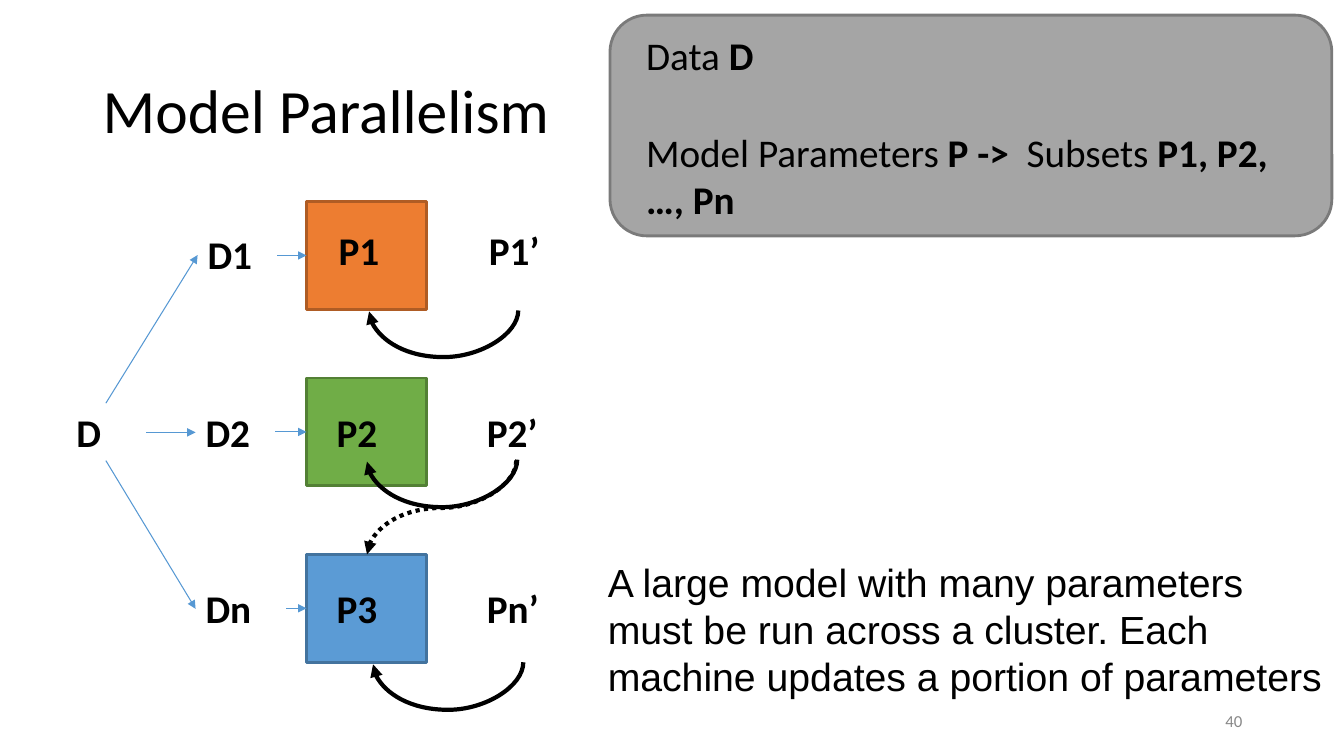
from pptx import Presentation
from pptx.dml.color import RGBColor
from pptx.enum.dml import MSO_LINE
from pptx.enum.shapes import MSO_CONNECTOR, MSO_SHAPE
from pptx.enum.text import MSO_ANCHOR, PP_ALIGN
from pptx.oxml.ns import qn
from pptx.util import Inches, Pt
from lxml import etree

STRAIGHT, CURVE = MSO_CONNECTOR.STRAIGHT, MSO_CONNECTOR.CURVE
RECT, ROUNDED = MSO_SHAPE.RECTANGLE, MSO_SHAPE.ROUNDED_RECTANGLE
TOP, MIDDLE = MSO_ANCHOR.TOP, MSO_ANCHOR.MIDDLE
LEFT, RIGHT = PP_ALIGN.LEFT, PP_ALIGN.RIGHT
DOTTED = MSO_LINE.ROUND_DOT
LEFT_SIDE = 1

BLACK, GREY, BLUE = "000000", "888888", "5698D3"
BODY = {"name": "Calibri", "size": Pt(28), "bold": False}
BOLD = {**BODY, "bold": True}
TITLE = {**BODY, "size": Pt(44)}
NUMBER = {**BODY, "size": Pt(12)}
NOTE = {**BODY, "name": "Arial"}

BOX_X, BOX_W, BOX_H = 3.04, 1.19, 1.07
ROW_TOP, ROW_STEP = 2, 1.75
LABEL_H, CURVE_DEPTH = 0.57, 0.47
# Each row: fill, line, label left shift, data label top, parameter label top,
# label width, texts and the start of the arrow into the box.
ROWS = [
    ("ED7D31", "AF5C24", 0.02, 0.24, 0.2, 0.78, ("D1", "P1", "P1’"), 2.75),
    ("70AD47", "538035", 0, 0.25, 0.25, 0.78, ("D2", "P2", "P2’"), 2.73),
    ("5B9BD5", "43739E", 0, 0.25, 0.25, 0.9, ("Dn", "P3", "Pn’"), 2.84),
]
FAN_OUT = [(1.05, 4, 1.96, 2.53), (1.45, 4.29, 1.94, 4.29), (1.05, 4.57, 1.94, 6.04)]
UPDATES = [(5.14, 3.08, 3.66, 3.09), (5.13, 4.56, 3.64, 4.58), (5.19, 6.57, 3.7, 6.59)]


def rgb(value):
    """Turn a hex string into a colour."""
    return RGBColor.from_string(value)


def add_box(s, kind, x, y, w, h, fill, line):
    """Add a filled and outlined shape."""
    sp = s.shapes.add_shape(kind, Inches(x), Inches(y), Inches(w), Inches(h))
    sp.shadow.inherit = False
    sp.fill.solid()
    sp.fill.fore_color.rgb = rgb(fill)
    sp.line.color.rgb = rgb(line)
    sp.line.width = Pt(2)
    return sp


def add_text(s, x, y, w, h, runs, color=BLACK, anchor=TOP, align=LEFT, spacing=1.0):
    """Add a text box holding one paragraph of (text, format) runs."""
    sp = s.shapes.add_textbox(Inches(x), Inches(y), Inches(w), Inches(h))
    tf = sp.text_frame
    tf.word_wrap = True
    tf.vertical_anchor = anchor
    p = tf.paragraphs[0]
    p.alignment, p.line_spacing = align, spacing
    for text, fmt in runs:
        r = p.add_run()
        r.text = text
        for name, value in fmt.items():
            setattr(r.font, name, value)
        r.font.color.rgb = rgb(color)


def add_arrow(s, kind, x1, y1, x2, y2, color, width):
    """Add a connector with an arrowhead at its end."""
    c = s.shapes.add_connector(kind, Inches(x1), Inches(y1), Inches(x2), Inches(y2))
    c.line.color.rgb = rgb(color)
    c.line.width = Pt(width)
    etree.SubElement(c.line._get_or_add_ln(), qn("a:tailEnd"), type="triangle")
    etree.SubElement(c._element.spPr, qn("a:effectLst"))
    return c


def add_curve(s, x1, y1, x2, y2):
    """Add a curve that leaves downwards and sweeps left to its end."""
    w, h = y2 - y1, x1 - x2
    cx, cy = (x1 + x2) / 2, (y1 + y2) / 2
    c = add_arrow(s, CURVE, cx - w / 2, cy - h / 2, cx + w / 2, cy + h / 2, BLACK, 3)
    spPr = c._element.spPr
    spPr.find(qn("a:xfrm")).set("rot", "5400000")
    guides = spPr.find(qn("a:prstGeom")).find(qn("a:avLst"))
    bend = round(CURVE_DEPTH / w * 100000)
    etree.SubElement(guides, qn("a:gd"), name="adj1", fmla=f"val {bend}")
    return c


def add_row(s, index, fill, line, shift, data_y, param_y, width, texts, arrow_x):
    """Add one machine: its data, its parameters and their update."""
    top = ROW_TOP + index * ROW_STEP
    box = add_box(s, RECT, BOX_X, top, BOX_W, BOX_H, fill, line)
    places = zip((1.94, 3.24, 4.73), (data_y, param_y, param_y), texts)
    for x, y, text in places:
        add_text(s, x + shift, top + y, width, LABEL_H, [(text, BOLD)])
    mid = top + BOX_H / 2
    arrow = add_arrow(s, STRAIGHT, arrow_x, mid, BOX_X, mid, BLUE, 0.75)
    arrow.end_connect(box, LEFT_SIDE)


def main():
    """Build the slide and save it."""
    prs = Presentation()
    prs.slide_width, prs.slide_height = Inches(13.33), Inches(7.5)
    s = prs.slides.add_slide(prs.slide_layouts[6])

    add_box(s, ROUNDED, 6.05, 0.15, 7.16, 2.19, "A5A5A5", "7A7A7A")
    add_text(s, 0.92, 0.4, 11.5, 1.45, [("Model Parallelism", TITLE)],
             anchor=MIDDLE, spacing=0.9)
    add_text(s, 9.42, 6.95, 3, 0.4, [("40", NUMBER)], GREY, MIDDLE, RIGHT)
    add_text(s, 6.31, 0.26, 1.9, LABEL_H, [("Data ", BODY), ("D", BOLD)])
    add_text(s, 6.31, 1.22, 6.54, 1.04, [
        ("Model Parameters ", BODY), ("P ->", BOLD),
        ("  Subsets ", BODY), ("P1, P2, …, Pn", BOLD)])

    for index, row in enumerate(ROWS):
        add_row(s, index, *row)
    add_text(s, 0.66, 4, 0.78, LABEL_H, [("D", BOLD)])
    for ends in FAN_OUT:
        add_arrow(s, STRAIGHT, *ends, BLUE, 0.75)
    for ends in UPDATES:
        add_curve(s, *ends)
    add_curve(s, 5.12, 4.57, 3.64, 5.5).line.dash_style = DOTTED

    add_text(s, 5.93, 5.49, 7.4, 1.51, [(
        "A large model with many parameters must be run across a cluster. "
        "Each machine updates a portion of parameters", NOTE)])
    prs.save("out.pptx")


if __name__ == "__main__":
    main()
